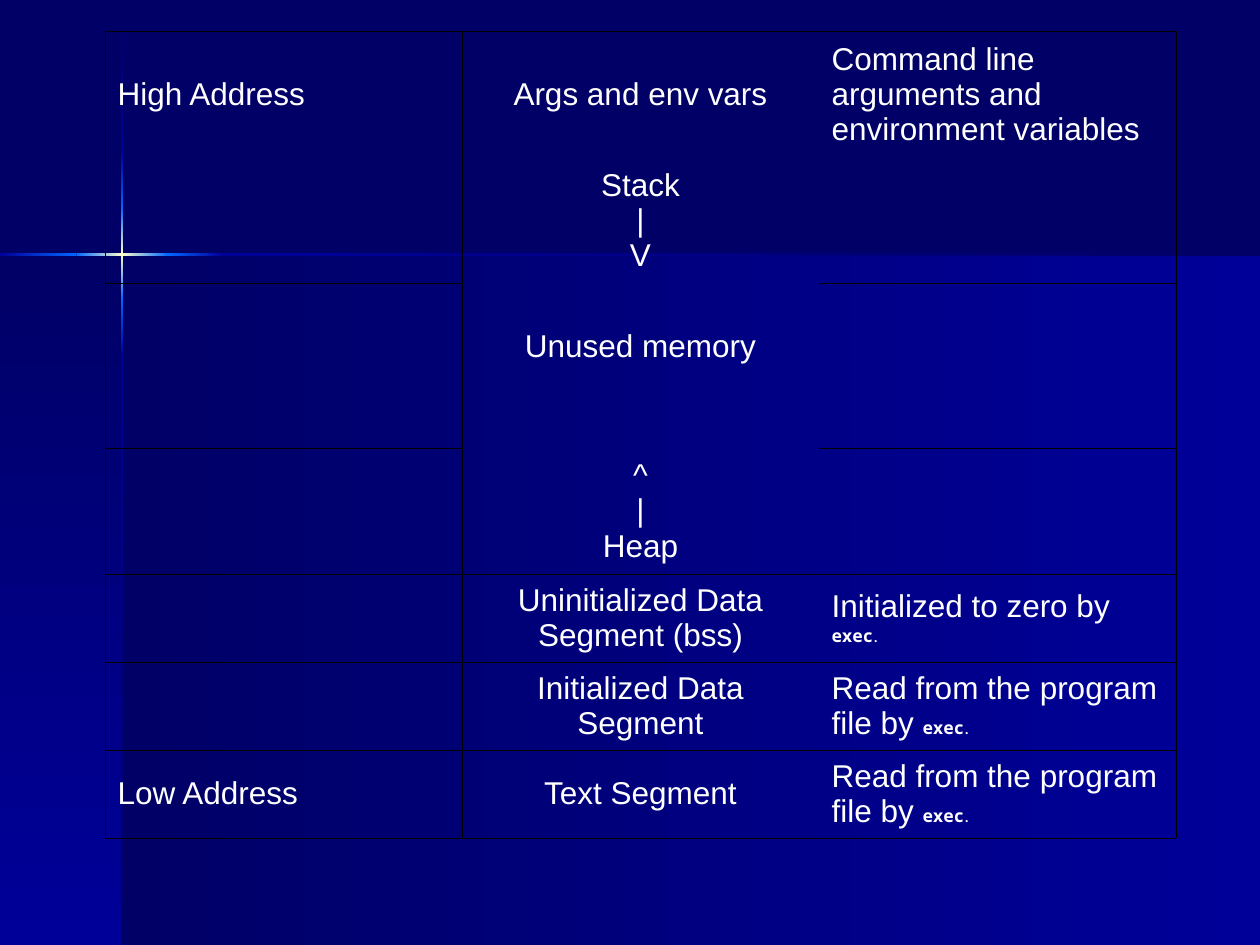
import itertools
import lxml.etree
import pptx
import pptx.dml.color
import pptx.enum.shapes
import pptx.enum.text
import pptx.oxml.ns
import pptx.util

Pt = pptx.util.Pt
qn = pptx.oxml.ns.qn
make = lxml.etree.SubElement
align = pptx.enum.text.PP_ALIGN
anchor = pptx.enum.text.MSO_ANCHOR

theme = {
    "deep": "000066", "mid": "000099", "glow": "0066FF", "flash": "FFFFCC",
    "text": "FFFFFF", "rule": "010000",
    "plain": {"name": "Arial", "size": Pt(18), "bold": False},
    "code": {"name": "Noto Sans Mono", "size": Pt(10), "bold": True},
    "stop": {"name": "Roboto", "size": Pt(11), "bold": False},
}

deck = pptx.Presentation()
deck.slide_width, deck.slide_height = Pt(720), Pt(540)
slide = deck.slides.add_slide(deck.slide_layouts[6])
back = slide.background.fill
back.solid()
back.fore_color.rgb = pptx.dml.color.RGBColor.from_string(theme["deep"])


def band(left, top, right, low, tones, angle):
    box = slide.shapes.add_shape(
        pptx.enum.shapes.MSO_SHAPE.RECTANGLE,
        Pt(left), Pt(top), Pt(right - left), Pt(low - top))
    box.shadow.inherit = False
    box.line.fill.background()
    box.fill.gradient()
    box.fill.gradient_angle = angle
    stops = box._element.spPr.find(".//" + qn("a:gsLst"))
    stops[:] = []
    for i, tone in enumerate(tones):
        stop = make(stops, qn("a:gs"), pos=str(100000 * i // (len(tones) - 1)))
        make(stop, qn("a:srgbClr"), val=theme[tone])


right, down = 0, 270
band(69.84, 145.44, 720, 540, ["deep", "mid"], right)
band(0, 145.44, 69.84, 540, ["deep", "mid"], down)

beam = [["deep", "mid"], ["mid", "glow"], ["glow", "flash", "glow"],
        ["glow", "mid"], ["mid", "deep"]]
tall = itertools.pairwise([0.7, 87, 119, 171, 203, 540])
wide = itertools.pairwise([0, 43.6, 96, 127.4, 720])
for (start, end), tones in zip(tall, beam):
    band(69.1, start, 70.5, end, tones, down)
for (start, end), tones in zip(wide, beam[1:]):
    band(start, 144.7, end, 146.1, tones, right)

rows = [
    (72, "High Address", "Args and env vars",
     "Command line arguments and environment variables"),
    (72, "", "Stack\n|\nV", ""),
    (94, "", "Unused memory", ""),
    (72, "", "^\n|\nHeap", ""),
    (50.3, "", "Uninitialized Data Segment (bss)", "Initialized to zero by exec."),
    (50.3, "", "Initialized Data Segment", "Read from the program file by exec."),
    (50.3, "Low Address", "Text Segment", "Read from the program file by exec."),
]
last = len(rows) - 1
frame = slide.shapes.add_table(
    len(rows), 3, Pt(60), Pt(18), Pt(612), Pt(sum(row[0] for row in rows)))
grid = frame.table
for name in ("first_row", "horz_banding"):
    setattr(grid, name, False)
grid._tbl.tblPr.find(qn("a:tableStyleId")).text = "{2D5ABB26-0587-4C30-8999-92F81FD0307C}"
for col in grid.columns:
    col.width = Pt(204)

bare = {(0, 0), (0, 1), (0, 2), (1, 1), (2, 1)}
looks = {
    "vertical_anchor": anchor.MIDDLE,
    "margin_left": Pt(7.2), "margin_right": Pt(7.2),
    "margin_top": Pt(3.6), "margin_bottom": Pt(3.6),
}
raised = looks | {"vertical_anchor": anchor.TOP, "margin_top": Pt(26)}

for r, (height, *texts) in enumerate(rows):
    grid.rows[r].height = Pt(height)
    for c, text in enumerate(texts):
        cell = grid.cell(r, c)
        cell.fill.background()
        for name, value in (raised if r == 2 else looks).items():
            setattr(cell, name, value)

        edges = {
            "L": c < 2,
            "R": c != 1,
            "T": (r - 1, c) not in bare,
            "B": (r, c) not in bare,
        }
        props = cell._tc.get_or_add_tcPr()
        for i, (side, shown) in enumerate(edges.items()):
            line = make(props, qn("a:ln" + side), w=str(Pt(0.06)))
            props.insert(i, line)
            if shown:
                make(make(line, qn("a:solidFill")), qn("a:srgbClr"), val=theme["rule"])
            else:
                make(line, qn("a:noFill"))

        par = cell.text_frame.paragraphs[0]
        par.alignment = align.CENTER if c == 1 else align.LEFT
        for i, part in enumerate(text.split("\n")):
            if i:
                par.add_line_break()
            for piece, style in zip(part.partition("exec"), ("plain", "code", "stop")):
                if piece:
                    run = par.add_run()
                    run.text = piece
                    run.font.color.rgb = pptx.dml.color.RGBColor.from_string(theme["text"])
                    for name, value in theme[style].items():
                        setattr(run.font, name, value)

deck.save("out.pptx")
